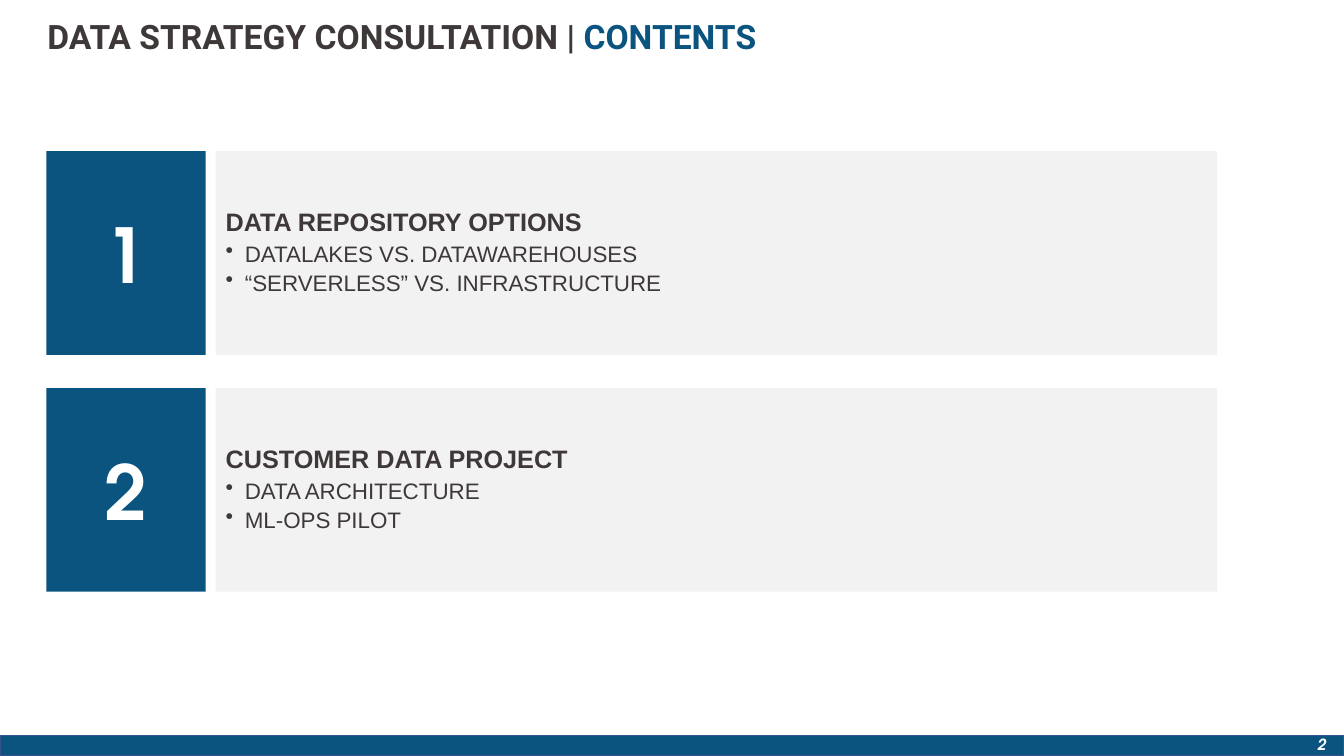
from pptx import Presentation
from pptx import util as u
from pptx.dml.color import RGBColor
from pptx.enum import shapes, text
from pptx.oxml import xmlchemy
from lxml import etree

COLORS = {
    "blue": "0A547F",
    "outline": "325491",
    "panel": "F2F2F2",
    "dark": "3E3838",
    "white": "FFFFFF",
}
DISPLAY_FONT = "TeX Gyre Adventor"
DRAWING_NS = "http://schemas.openxmlformats.org/drawingml/2006/main"


def add_text(paragraph, words, size, font="Arial", color="dark", bold=True,
             italic=False, align=text.PP_ALIGN.LEFT, line=1.0, before=0,
             bullet=False):
    paragraph.alignment = align
    paragraph.line_spacing = line
    paragraph.space_before = u.Pt(before)
    run = paragraph.add_run()
    run.text = words
    run.font.size = u.Pt(size)
    run.font.name = font
    run.font.bold = bold
    run.font.italic = italic
    run.font.color.rgb = RGBColor.from_string(COLORS[color])
    if bullet:
        properties = paragraph._p.get_or_add_pPr()
        properties.set("marL", str(u.Inches(0.19)))
        properties.set("indent", str(-u.Inches(0.19)))
        etree.SubElement(properties, f"{{{DRAWING_NS}}}buChar").set("char", "•")


def add_box(slide, left, top, width, height, fill, line=None):
    shape = slide.shapes.add_shape(
        shapes.MSO_SHAPE.RECTANGLE, u.Inches(left), u.Inches(top),
        u.Inches(width), u.Inches(height))
    shape.shadow.inherit = False
    shape.fill.solid()
    shape.fill.fore_color.rgb = RGBColor.from_string(COLORS[fill])
    if line:
        shape.line.color.rgb = RGBColor.from_string(COLORS[line])
        shape.line.width = u.Pt(1)
    else:
        shape.line.fill.background()
    shape.text_frame.word_wrap = True
    shape.text_frame.vertical_anchor = text.MSO_ANCHOR.MIDDLE
    return shape


presentation = Presentation()
presentation.slide_width = u.Inches(13.33)
presentation.slide_height = u.Inches(7.5)
slide = presentation.slides.add_slide(presentation.slide_layouts[5])

# Footer bar and page number
add_box(slide, 0, 7.3, 13.33, 0.2, "blue", line="outline")
page_number = slide.shapes.add_textbox(
    u.Inches(10.25), u.Inches(7.18), u.Inches(3), u.Inches(0.4))
page_number.text_frame.word_wrap = True
page_number.text_frame.vertical_anchor = text.MSO_ANCHOR.MIDDLE
add_text(page_number.text_frame.paragraphs[0], "2", 11, font=DISPLAY_FONT,
         color="white", italic=True, align=text.PP_ALIGN.RIGHT)

# Title
title = slide.shapes.title
title.left, title.top = u.Inches(0.37), u.Inches(0.15)
title.width, title.height = u.Inches(12.54), u.Inches(0.45)
title.text_frame.word_wrap = True
title.text_frame.auto_size = text.MSO_AUTO_SIZE.NONE
title.text_frame.vertical_anchor = text.MSO_ANCHOR.TOP
for words, color in [("DATA STRATEGY CONSULTATION | ", "dark"),
                     ("CONTENTS", "blue")]:
    add_text(title.text_frame.paragraphs[0], words, 24, font="Roboto",
             color=color, line=0.9)

# Numbered sections
sections = [
    ("DATA REPOSITORY OPTIONS",
     ["DATALAKES VS. DATAWAREHOUSES", "“SERVERLESS” VS. INFRASTRUCTURE"]),
    ("CUSTOMER DATA PROJECT",
     ["DATA ARCHITECTURE", "ML-OPS PILOT"]),
]
for index, (heading, topics) in enumerate(sections):
    top = 1.5 + index * 2.35
    panel = add_box(slide, 2.14, top, 9.93, 2.02, "panel")
    add_text(panel.text_frame.paragraphs[0], heading, 18, line=0.9, before=10)
    for topic in topics:
        add_text(panel.text_frame.add_paragraph(), topic, 16, bold=False,
                 line=1.1, bullet=True)

    number = add_box(slide, 0.46, top, 1.58, 2.02, "blue")
    add_text(number.text_frame.paragraphs[0], str(index + 1), 54,
             font=DISPLAY_FONT, color="white", align=text.PP_ALIGN.CENTER)

presentation.save("out.pptx")
